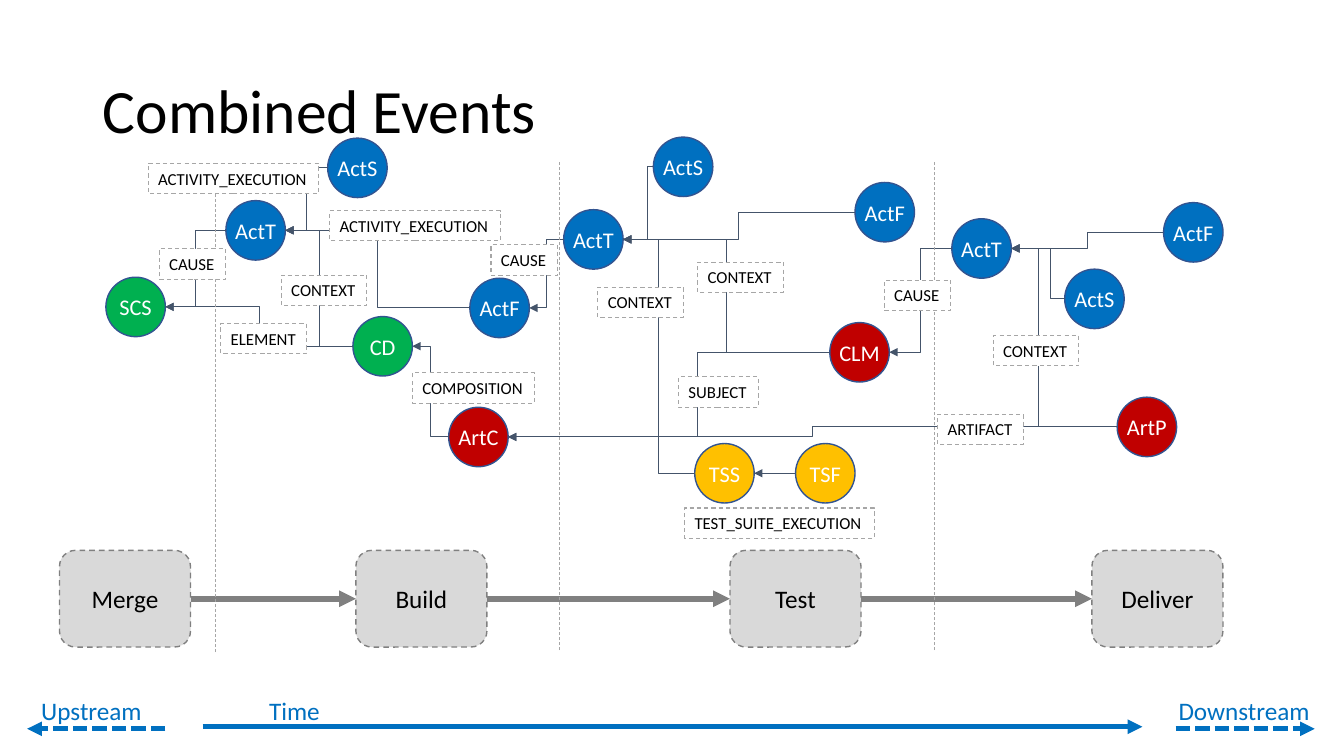
"""Build the Combined Events slide: an event graph above a four-stage pipeline."""
from dataclasses import dataclass

from lxml import etree
from pptx import Presentation
from pptx.dml.color import RGBColor
from pptx.enum.dml import MSO_LINE
from pptx.enum.shapes import MSO_CONNECTOR, MSO_SHAPE
from pptx.enum.text import MSO_ANCHOR, MSO_AUTO_SIZE, PP_ALIGN
from pptx.oxml.ns import qn
from pptx.util import Inches, Pt

STRAIGHT, ELBOW = MSO_CONNECTOR.STRAIGHT, MSO_CONNECTOR.ELBOW
CIRCLE, ROUNDED = MSO_SHAPE.FLOWCHART_CONNECTOR, MSO_SHAPE.ROUNDED_RECTANGLE
DASH, SHORT_DASH = MSO_LINE.DASH, MSO_LINE.SQUARE_DOT
LEFT, CENTER = PP_ALIGN.LEFT, PP_ALIGN.CENTER
TOP, MIDDLE = MSO_ANCHOR.TOP, MSO_ANCHOR.MIDDLE
FIT_TEXT = MSO_AUTO_SIZE.SHAPE_TO_FIT_TEXT


@dataclass(frozen=True)
class Theme:
    font: str = "Calibri"
    black: str = "000000"
    white: str = "FFFFFF"
    activity: str = "0070C0"
    source: str = "00B050"
    artifact: str = "C00000"
    suite: str = "FFC000"
    event_edge: str = "325491"
    link: str = "44546A"
    stage: str = "D9D9D9"
    stage_edge: str = "808080"
    divider: str = "A6A6A6"
    title_size: int = 44
    stage_size: int = 18
    event_size: int = 16
    label_size: int = 12


THEME = Theme()

TITLE = "Combined Events"
EVENTS = {
    "merge SCS": (1.05, 2.75, THEME.source),
    "build CD": (3.5, 3.14, THEME.source),
    "build ActT": (2.24, 1.99, THEME.activity),
    "build ActS": (3.25, 1.37, THEME.activity),
    "build ActF": (4.66, 2.76, THEME.activity),
    "build ArtC": (4.45, 4.04, THEME.artifact),
    "test ActT": (5.59, 2.08, THEME.activity),
    "test ActS": (6.48, 1.36, THEME.activity),
    "test ActF": (8.48, 1.81, THEME.activity),
    "test CLM": (8.23, 3.2, THEME.artifact),
    "test TSS": (6.89, 4.4, THEME.suite),
    "test TSF": (7.89, 4.4, THEME.suite),
    "deliver ActT": (9.44, 2.17, THEME.activity),
    "deliver ActS": (10.56, 2.67, THEME.activity),
    "deliver ActF": (11.54, 2.01, THEME.activity),
    "deliver ArtP": (11.08, 3.94, THEME.artifact),
}
LINKS = [
    ("test CLM", "build ArtC", 0.41),
    ("build CD", "merge SCS", 0.5),
    ("build ArtC", "build CD", 0.5),
    ("build ActT", "merge SCS", 0.5),
    ("build ActS", "build ActT", 0.5),
    ("build ActF", "build ActT", 0.5),
    ("build CD", "build ActT", 0.5),
    ("test ActS", "test ActT", 0.2),
    ("test ActF", "test ActT", 0.5),
    ("test CLM", "test ActT", 0.5),
    ("test ActT", "build ActF", 0.5),
    ("test TSS", "test ActT", 0.5),
    ("test TSF", "test TSS", 0.5),
    ("deliver ActS", "deliver ActT", 0.27),
    ("deliver ActF", "deliver ActT", 0.5),
    ("deliver ActT", "test CLM", 0.5),
    ("deliver ArtP", "build ArtC", 0.5),
    ("deliver ArtP", "deliver ActT", 0.74),
]
LABEL_WIDTHS = {
    "CAUSE": 0.66, "CONTEXT": 0.85, "ACTIVITY_EXECUTION": 1.69, "ELEMENT": 0.85,
    "COMPOSITION": 1.21, "SUBJECT": 0.79, "ARTIFACT": 0.85, "TEST_SUITE_EXECUTION": 1.88,
}
LINK_LABELS = [
    ("CAUSE", 1.58, 2.47), ("CONTEXT", 2.79, 2.73), ("ACTIVITY_EXECUTION", 1.47, 1.62),
    ("ELEMENT", 2.19, 3.21), ("ACTIVITY_EXECUTION", 3.27, 2.09), ("COMPOSITION", 4.09, 3.7),
    ("CAUSE", 4.87, 2.43), ("CONTEXT", 5.93, 2.85), ("CONTEXT", 6.92, 2.6),
    ("SUBJECT", 6.73, 3.74), ("ARTIFACT", 9.3, 4.11), ("TEST_SUITE_EXECUTION", 6.79, 5.04),
    ("CONTEXT", 9.85, 3.33), ("CAUSE", 8.77, 2.78),
]
STAGES = [("Merge", 0.59), ("Build", 3.53), ("Test", 7.24), ("Deliver", 10.83)]
DIVIDERS = [(2.14, 1.63, 6.47), (5.55, 1.6, 6.45), (9.27, 1.6, 6.45)]
DIRECTIONS = [
    ("Upstream", 0.31, 1.21, (1.64, 0.27), 7.23, SHORT_DASH),
    ("Time", 2.57, 0.71, (2.01, 11.33), 7.21, None),
    ("Downstream", 11.59, 1.52, (11.66, 13.04), 7.23, SHORT_DASH),
]
EVENT_SIZE = 0.59
LABEL_HEIGHT = 0.3
STAGE_TOP, STAGE_WIDTH, STAGE_HEIGHT = 5.46, 1.3, 0.96
DIRECTION_TOP, DIRECTION_HEIGHT = 6.85, 0.4
LEFT_SITE, RIGHT_SITE = 2, 6


def write(shape, text, size, color=THEME.black, align=LEFT, anchor=TOP,
          wrap=True, inset=None, spacing=None):
    frame = shape.text_frame
    frame.text = text
    frame.word_wrap = wrap
    frame.vertical_anchor = anchor
    if not wrap:
        frame.auto_size = FIT_TEXT
    if inset is not None:
        frame.margin_left = frame.margin_right = Inches(inset)
        frame.margin_top = frame.margin_bottom = Inches(inset)
    paragraph = frame.paragraphs[0]
    paragraph.alignment = align
    paragraph.line_spacing = spacing
    font = paragraph.runs[0].font
    font.name, font.size = THEME.font, Pt(size)
    font.color.rgb = RGBColor.from_string(color)


def outline(shape, color, width, dash=None):
    shape.line.color.rgb = RGBColor.from_string(color)
    shape.line.width = Pt(width)
    if dash:
        shape.line.dash_style = dash


def paint(shape, fill, edge, width, dash=None):
    shape.shadow.inherit = False
    shape.fill.solid()
    shape.fill.fore_color.rgb = RGBColor.from_string(fill)
    outline(shape, edge, width, dash)


def connect(start, end, color, width, dash=None, kind=STRAIGHT, arrow=True):
    line = slide.shapes.add_connector(kind, *map(Inches, (*start, *end)))
    outline(line, color, width, dash)
    properties = line.element.spPr
    if arrow:
        etree.SubElement(properties.find(qn("a:ln")), qn("a:tailEnd"), type="triangle")
    etree.SubElement(properties, qn("a:effectLst"))
    return line


def link_events(later, earlier, bend):
    ends = [(EVENTS[later][0], EVENTS[later][1] + EVENT_SIZE / 2),
            (EVENTS[earlier][0] + EVENT_SIZE, EVENTS[earlier][1] + EVENT_SIZE / 2)]
    line = connect(*ends, THEME.link, 0.75, kind=ELBOW)
    guides = line.element.spPr.find(qn("a:prstGeom")).find(qn("a:avLst"))
    etree.SubElement(guides, qn("a:gd"), name="adj1", fmla=f"val {round(bend * 100000)}")
    glue = line.element.find(qn("p:nvCxnSpPr")).find(qn("p:cNvCxnSpPr"))
    for tag, event, site in (("a:stCxn", later, LEFT_SITE), ("a:endCxn", earlier, RIGHT_SITE)):
        etree.SubElement(glue, qn(tag), id=str(events[event].shape_id), idx=str(site))


deck = Presentation()
deck.slide_width, deck.slide_height = Inches(13.33), Inches(7.5)
slide = deck.slides.add_slide(deck.slide_layouts[5])

title = slide.shapes.title
title.left, title.top, title.width, title.height = map(Inches, (0.92, 0.4, 11.5, 1.45))
write(title, TITLE, THEME.title_size, anchor=MIDDLE, spacing=0.9)

for name, left, width, (start, end), level, dash in DIRECTIONS:
    connect((start, level), (end, level), THEME.activity, 3.5, dash)
    caption = slide.shapes.add_textbox(*map(Inches, (left, DIRECTION_TOP, width, DIRECTION_HEIGHT)))
    write(caption, name, THEME.stage_size, THEME.activity, wrap=False)

events = {}
for key, (left, top, fill) in EVENTS.items():
    event = slide.shapes.add_shape(CIRCLE, *map(Inches, (left, top, EVENT_SIZE, EVENT_SIZE)))
    paint(event, fill, THEME.event_edge, 1)
    write(event, key.split()[1], THEME.event_size, THEME.white, CENTER, MIDDLE, inset=0)
    events[key] = event
for later, earlier, bend in LINKS:
    link_events(later, earlier, bend)

stages = []
for name, left in STAGES:
    stage = slide.shapes.add_shape(ROUNDED, *map(Inches, (left, STAGE_TOP, STAGE_WIDTH, STAGE_HEIGHT)))
    paint(stage, THEME.stage, THEME.stage_edge, 1, DASH)
    write(stage, name, THEME.stage_size, align=CENTER, anchor=MIDDLE)
    stages.append(stage)
flow_level = STAGE_TOP + STAGE_HEIGHT / 2
for index in range(len(STAGES) - 1):
    flow = connect((STAGES[index][1] + STAGE_WIDTH, flow_level),
                   (STAGES[index + 1][1], flow_level), THEME.stage_edge, 4)
    flow.begin_connect(stages[index], 3)
    flow.end_connect(stages[index + 1], 1)

for x, top, bottom in DIVIDERS:
    connect((x, bottom), (x, top), THEME.divider, 0.5, DASH, arrow=False)
for name, left, top in LINK_LABELS:
    label = slide.shapes.add_textbox(*map(Inches, (left, top, LABEL_WIDTHS[name], LABEL_HEIGHT)))
    label.fill.solid()
    label.fill.fore_color.rgb = RGBColor.from_string(THEME.white)
    outline(label, THEME.divider, 0.75, DASH)
    write(label, name, THEME.label_size, wrap=False)

deck.save("out.pptx")
